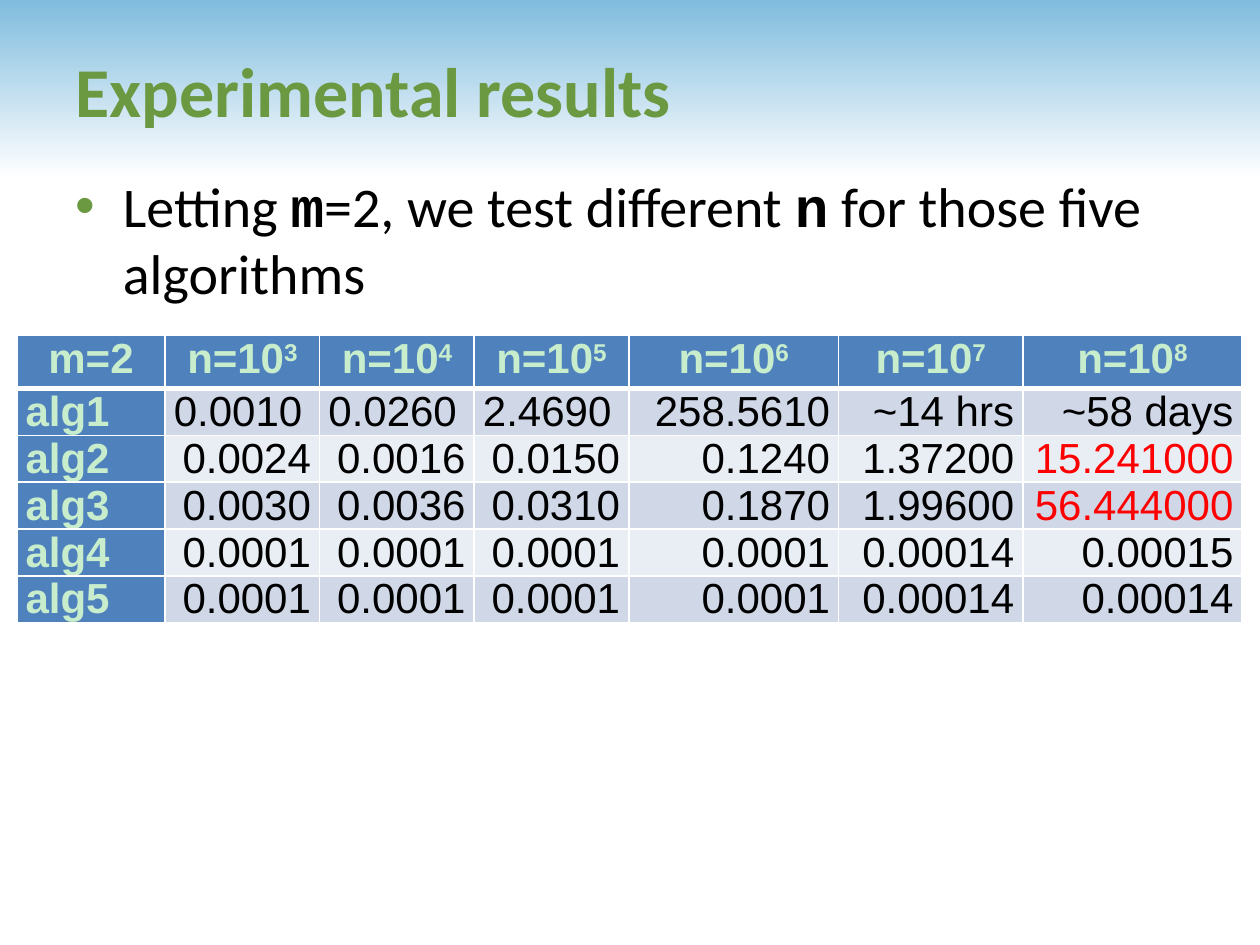
from dataclasses import dataclass

import lxml.etree
import pptx
import pptx.dml.color
import pptx.enum.shapes
import pptx.enum.text
import pptx.oxml.ns
import pptx.util

Pt = pptx.util.Pt
Align = pptx.enum.text.PP_ALIGN
qn = pptx.oxml.ns.qn


@dataclass(frozen=True)
class Theme:
    background: str = "FFFFFF"
    sky: str = "80BCDE"
    accent: str = "6B9941"
    text: str = "000000"
    highlight: str = "FF0000"
    header_fill: str = "4F81BD"
    header_text: str = "C7EDCC"
    row_fills: tuple[str, str] = ("D0D8E8", "E9EDF4")
    border: str = "FFFFFF"
    title_size: int = 40
    body_size: int = 32
    table_size: int = 24
    heading_font: str = "Calibri"
    code_font: str = "Courier New"
    table_font: str = "Arial"


@dataclass(frozen=True)
class Box:
    left: float
    top: float
    width: float
    height: float


@dataclass(frozen=True)
class TextStyle:
    font: str
    size: int
    color: str
    bold: bool = False


@dataclass(frozen=True)
class ResultRow:
    algorithm: str
    times: tuple[str, ...]
    left_aligned: int = 0
    highlight_last: bool = False


THEME = Theme()
BAND_BOX = Box(0, 0, 720, 102)
TITLE_BOX = Box(36, 6, 654, 90)
BODY_BOX = Box(36, 94.5, 654, 324)
TABLE_BOX = Box(9.6, 191.8, 700.2, 157)
COLUMN_WIDTHS = (84.8, 88.3, 88.3, 88.3, 120, 105.2, 125.3)
ROW_HEIGHTS = (30.2, 26, 25.2, 25.2, 25.2, 25.2)
BODY_INDENT = 27
CELL_MARGIN = 5
THIN_BORDER, THICK_BORDER = 1, 3
EXPONENTS = range(3, 9)
RESULTS = (
    ResultRow("alg1", ("0.0010", "0.0260", "2.4690", "258.5610", "~14 hrs", "~58 days"),
              left_aligned=3),
    ResultRow("alg2", ("0.0024", "0.0016", "0.0150", "0.1240", "1.37200", "15.241000"),
              highlight_last=True),
    ResultRow("alg3", ("0.0030", "0.0036", "0.0310", "0.1870", "1.99600", "56.444000"),
              highlight_last=True),
    ResultRow("alg4", ("0.0001", "0.0001", "0.0001", "0.0001", "0.00014", "0.00015")),
    ResultRow("alg5", ("0.0001", "0.0001", "0.0001", "0.0001", "0.00014", "0.00014")),
)
HEADER_STYLE = TextStyle(THEME.table_font, THEME.table_size, THEME.header_text, True)
VALUE_STYLE = TextStyle(THEME.table_font, THEME.table_size, THEME.text)
HIGHLIGHT_STYLE = TextStyle(THEME.table_font, THEME.table_size, THEME.highlight)


def rgb(color: str) -> pptx.dml.color.RGBColor:
    return pptx.dml.color.RGBColor.from_string(color)


def place(shape, box: Box) -> None:
    shape.left, shape.top = Pt(box.left), Pt(box.top)
    shape.width, shape.height = Pt(box.width), Pt(box.height)


def add_run(paragraph, text: str, style: TextStyle):
    run = paragraph.add_run()
    run.text = text
    run.font.name = style.font
    run.font.size = Pt(style.size)
    run.font.bold = style.bold
    run.font.color.rgb = rgb(style.color)
    return run


def add_sky_band(slide) -> None:
    """Draw the gradient band behind the placeholders."""
    band = slide.shapes.add_shape(pptx.enum.shapes.MSO_SHAPE.PENTAGON, 0, 0, 0, 0)
    place(band, BAND_BOX)
    band.adjustments[0] = 0
    band.shadow.inherit = False
    band.line.fill.background()
    band.fill.gradient()
    band.fill.gradient_angle = 270
    for stop, color in zip(band.fill.gradient_stops, (THEME.sky, THEME.background)):
        stop.color.rgb = rgb(color)
    slide.shapes._spTree.insert(2, band._element)


def fill_title(title) -> None:
    place(title, TITLE_BOX)
    title.text_frame.vertical_anchor = pptx.enum.text.MSO_ANCHOR.MIDDLE
    paragraph = title.text_frame.paragraphs[0]
    paragraph.alignment = Align.LEFT
    add_run(paragraph, "Experimental results",
            TextStyle(THEME.heading_font, THEME.title_size, THEME.accent, True))


def add_bullet(paragraph) -> None:
    properties = paragraph._p.get_or_add_pPr()
    properties.set("marL", str(Pt(BODY_INDENT)))
    properties.set("indent", str(-Pt(BODY_INDENT)))
    color = lxml.etree.SubElement(properties, qn("a:buClr"))
    lxml.etree.SubElement(color, qn("a:srgbClr"), val=THEME.accent)
    lxml.etree.SubElement(properties, qn("a:buFont"), typeface="Arial")
    lxml.etree.SubElement(properties, qn("a:buChar"), char="•")


def fill_body(body) -> None:
    place(body, BODY_BOX)
    body.text_frame.auto_size = pptx.enum.text.MSO_AUTO_SIZE.NONE
    paragraph = body.text_frame.paragraphs[0]
    paragraph.space_before = Pt(0)
    add_bullet(paragraph)
    plain = TextStyle(THEME.heading_font, THEME.body_size, THEME.text)
    code = TextStyle(THEME.code_font, THEME.body_size, THEME.text, True)
    for text, style in (("Letting ", plain), ("m", code), ("=2, we test different ", plain),
                        ("n", code), (" for those five algorithms", plain)):
        add_run(paragraph, text, style)


def set_borders(cell, top: float = THIN_BORDER, bottom: float = THIN_BORDER) -> None:
    properties = cell._tc.get_or_add_tcPr()
    for side, width in (("L", THIN_BORDER), ("R", THIN_BORDER), ("T", top), ("B", bottom)):
        line = lxml.etree.SubElement(properties, qn(f"a:ln{side}"), w=str(Pt(width)))
        solid = lxml.etree.SubElement(line, qn("a:solidFill"))
        lxml.etree.SubElement(solid, qn("a:srgbClr"), val=THEME.border)


def format_cell(cell, row: int, fill: str, alignment: Align):
    """Style a cell and return its paragraph."""
    set_borders(cell, top=THICK_BORDER if row == 1 else THIN_BORDER,
                bottom=THICK_BORDER if row == 0 else THIN_BORDER)
    cell.fill.solid()
    cell.fill.fore_color.rgb = rgb(fill)
    cell.margin_left = cell.margin_right = Pt(CELL_MARGIN)
    cell.margin_top = cell.margin_bottom = 0
    paragraph = cell.text_frame.paragraphs[0]
    paragraph.alignment = alignment
    return paragraph


def add_results_table(slide) -> None:
    frame = slide.shapes.add_table(len(ROW_HEIGHTS), len(COLUMN_WIDTHS), 0, 0, 0, 0)
    place(frame, TABLE_BOX)
    table = frame.table
    for column, width in zip(table.columns, COLUMN_WIDTHS):
        column.width = Pt(width)
    for row, height in zip(table.rows, ROW_HEIGHTS):
        row.height = Pt(height)

    corner = format_cell(table.cell(0, 0), 0, THEME.header_fill, Align.CENTER)
    add_run(corner, "m=2", HEADER_STYLE)
    for column, exponent in enumerate(EXPONENTS, start=1):
        paragraph = format_cell(table.cell(0, column), 0, THEME.header_fill, Align.CENTER)
        add_run(paragraph, "n=10", HEADER_STYLE)
        power = add_run(paragraph, str(exponent), HEADER_STYLE)
        power.font._element.set("baseline", "30000")

    for row, result in enumerate(RESULTS, start=1):
        label = format_cell(table.cell(row, 0), row, THEME.header_fill, Align.LEFT)
        add_run(label, result.algorithm, HEADER_STYLE)
        for column, time in enumerate(result.times, start=1):
            alignment = Align.LEFT if column <= result.left_aligned else Align.RIGHT
            highlighted = result.highlight_last and column == len(result.times)
            paragraph = format_cell(table.cell(row, column), row,
                                    THEME.row_fills[(row - 1) % 2], alignment)
            add_run(paragraph, time, HIGHLIGHT_STYLE if highlighted else VALUE_STYLE)


def main() -> None:
    presentation = pptx.Presentation()
    presentation.slide_width, presentation.slide_height = Pt(720), Pt(540)
    slide = presentation.slides.add_slide(presentation.slide_layouts[1])
    slide.background.fill.solid()
    slide.background.fill.fore_color.rgb = rgb(THEME.background)
    add_sky_band(slide)
    fill_title(slide.shapes.title)
    fill_body(slide.placeholders[1])
    add_results_table(slide)
    presentation.save("out.pptx")


if __name__ == "__main__":
    main()
